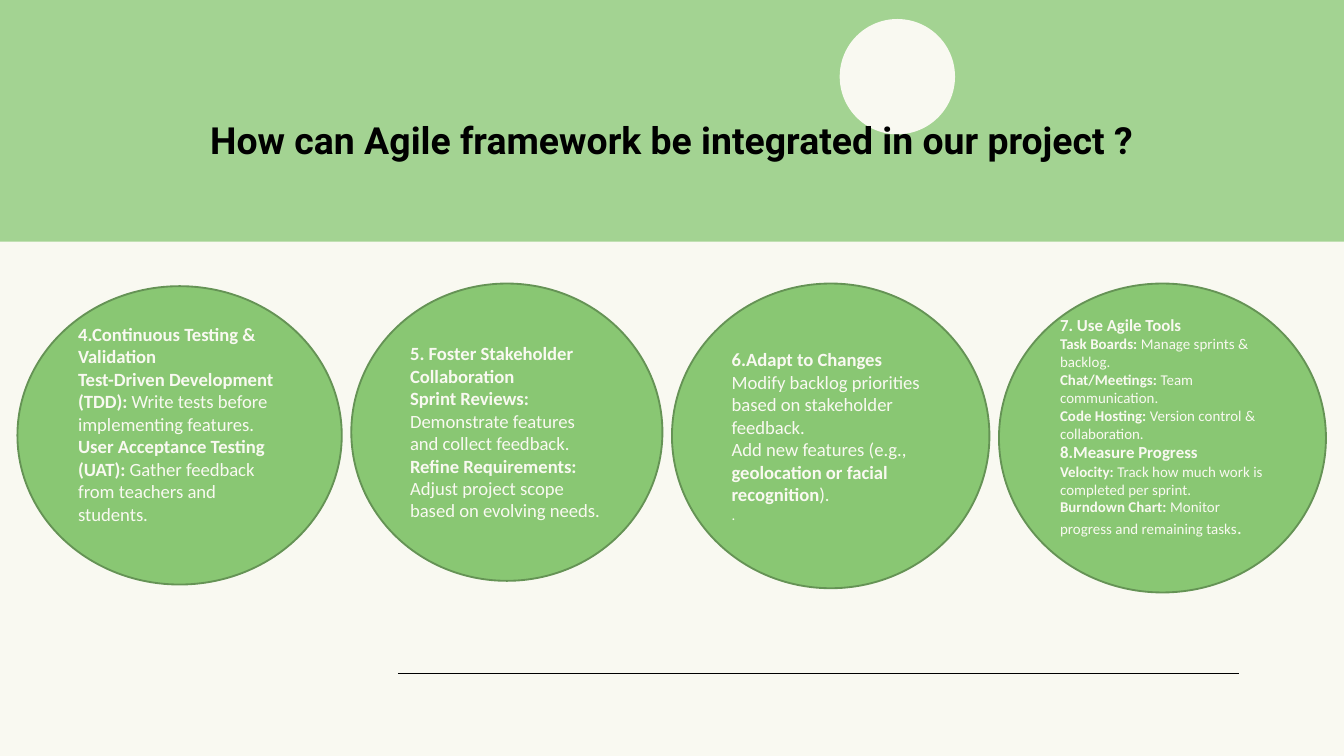
from pptx import Presentation
from pptx.dml.color import RGBColor
from pptx.enum.shapes import MSO_CONNECTOR, MSO_SHAPE
from pptx.enum.text import MSO_ANCHOR, PP_ALIGN
from pptx.oxml.ns import qn
from pptx.util import Cm, Pt
from lxml.etree import SubElement

CREAM, BAND, GREEN, RIM, BLACK = "F9F9F1", "A3D392", "89C773", "659355", "000000"


def color(value):
    """Turn a hex string into a colour."""
    return RGBColor.from_string(value)


def add_text(paragraph, text, font="Calibri", size=10, bold=False, fill=CREAM):
    """Append a formatted run to a paragraph."""
    run = paragraph.add_run()
    run.text = text
    run.font.name = font
    run.font.size = Pt(size)
    run.font.bold = bold
    run.font.color.rgb = color(fill)


def heading(text, size=10):
    """Return a bold paragraph."""
    return [(text, True, size)]


def point(label, text, size=10):
    """Return a paragraph with a bold label and plain text."""
    return [(label, True, size), (text, False, size)]


class SlideBuilder:
    """Hold the current slide and draw its elements in one style."""

    def __init__(self, slide):
        """Set the slide and its background."""
        self.slide = slide
        slide.background.fill.solid()
        slide.background.fill.fore_color.rgb = color(CREAM)

    def shape(self, kind, box, fill, line=None):
        """Add a filled preset shape."""
        shape = self.slide.shapes.add_shape(kind, *map(Cm, box))
        shape.shadow.inherit = False
        shape.fill.solid()
        shape.fill.fore_color.rgb = color(fill)
        if line:
            shape.line.color.rgb = color(line)
            shape.line.width = Pt(1)
        else:
            shape.line.fill.background()
        return shape

    def rule(self, left, right, top):
        """Add a horizontal black line."""
        rule = self.slide.shapes.add_connector(
            MSO_CONNECTOR.STRAIGHT, Cm(left), Cm(top), Cm(right), Cm(top))
        rule.line.color.rgb = color(BLACK)
        rule.line.width = Pt(1)
        SubElement(rule._element.spPr, qn("a:effectLst"))

    def title(self, box, text):
        """Add the centred title."""
        frame = self.slide.shapes.add_textbox(*map(Cm, box)).text_frame
        frame.word_wrap = True
        frame.vertical_anchor = MSO_ANCHOR.MIDDLE
        paragraph = frame.paragraphs[0]
        paragraph.alignment = PP_ALIGN.CENTER
        paragraph.line_spacing = 0.9
        add_text(paragraph, text, font="Roboto", size=20, bold=True, fill=BLACK)

    def bubble(self, box, paragraphs, bottom=0.13):
        """Add an outlined ellipse with left-aligned text."""
        frame = self.shape(MSO_SHAPE.OVAL, box, GREEN, RIM).text_frame
        frame.word_wrap = True
        frame.vertical_anchor = MSO_ANCHOR.MIDDLE
        frame.margin_bottom = Cm(bottom)
        for index, runs in enumerate(paragraphs):
            paragraph = frame.add_paragraph() if index else frame.paragraphs[0]
            paragraph.alignment = PP_ALIGN.LEFT
            for text, bold, size in runs:
                add_text(paragraph, text, bold=bold, size=size)


def main():
    """Build the slide and save it."""
    presentation = Presentation()
    presentation.slide_width, presentation.slide_height = Cm(25.4), Cm(14.29)
    slide = presentation.slides.add_slide(presentation.slide_layouts[6])
    builder = SlideBuilder(slide)
    builder.shape(MSO_SHAPE.RECTANGLE, (0, 0, 25.4, 4.57), BAND)
    builder.rule(7.52, 23.42, 12.73)
    builder.shape(MSO_SHAPE.OVAL, (15.87, 0.36, 2.18, 2.18), CREAM)
    builder.title((2, 1.52, 21.4, 2.34),
                  "How can Agile framework be integrated in our project ?")
    builder.bubble((0.33, 5.41, 6.13, 5.64), [
        heading("4.Continuous Testing & Validation"),
        point("Test-Driven Development (TDD):",
              " Write tests before implementing features."),
        point("User Acceptance Testing (UAT):",
              " Gather feedback from teachers and students."),
    ], bottom=0.56)
    builder.bubble((6.64, 5.36, 5.88, 5.62), [
        heading("5. Foster Stakeholder Collaboration"),
        point("Sprint Reviews:", " Demonstrate features and collect feedback."),
        point("Refine Requirements:",
              " Adjust project scope based on evolving needs."),
    ])
    builder.bubble((12.7, 5.36, 6, 5.76), [
        heading("6.Adapt to Changes"),
        [("Modify backlog priorities based on stakeholder feedback.", False, 10)],
        [("Add new features (e.g., ", False, 10),
         ("geolocation or facial recognition", True, 10), (").", False, 10)],
        [(".", False, 8)],
    ])
    builder.bubble((18.88, 5.36, 6.18, 5.84), [
        heading("7. Use Agile Tools", 9),
        point("Task Boards:", " Manage sprints & backlog.", 8),
        point("Chat/Meetings:", " Team communication.", 8),
        point("Code Hosting: ", "Version control & collaboration.", 8),
        heading("8.Measure Progress", 9),
        point("Velocity:", " Track how much work is completed per sprint.", 8),
        point("Burndown Chart:", " Monitor progress and remaining tasks", 8)
        + [(".", False, 10)],
    ], bottom=0.56)
    presentation.save("out.pptx")


if __name__ == "__main__":
    main()
